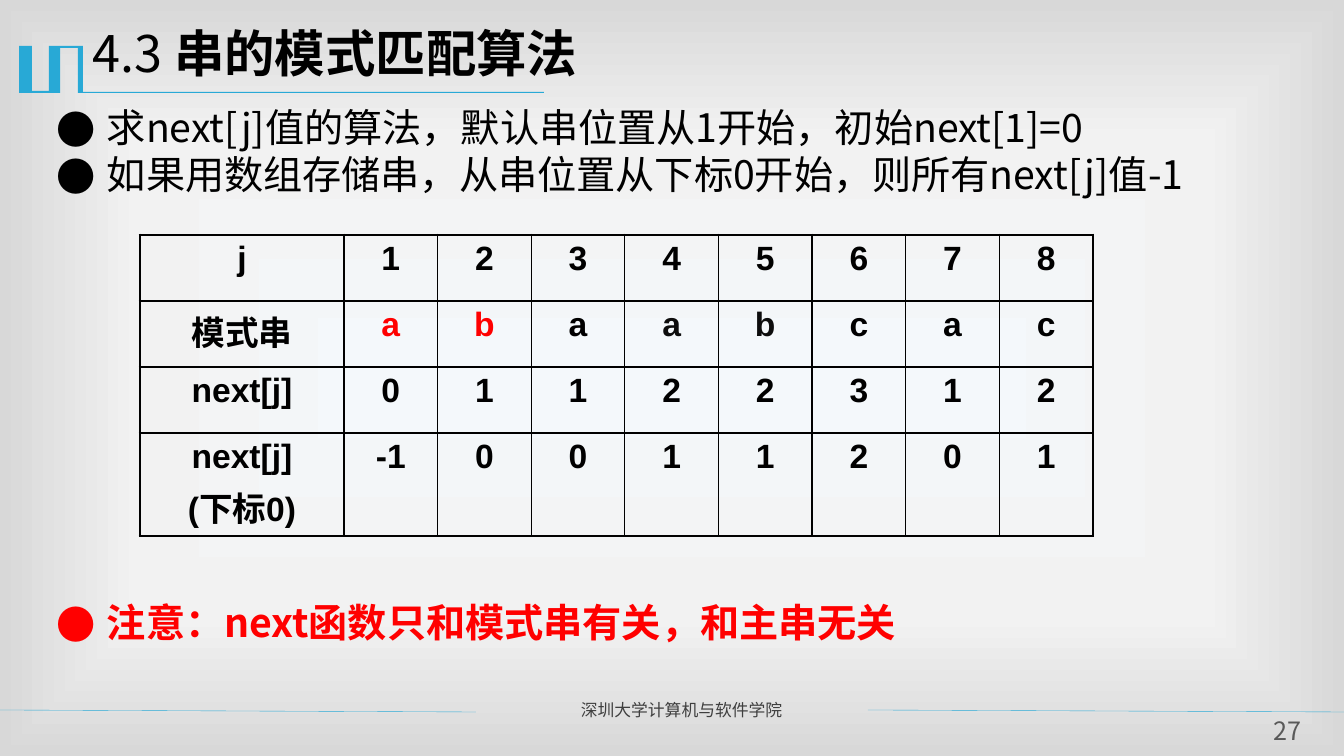
from pptx import Presentation
from pptx.dml.color import RGBColor
from pptx.enum.shapes import MSO_CONNECTOR
from pptx.enum.text import PP_ALIGN
from pptx.oxml import parse_xml
from pptx.oxml.ns import nsdecls, qn
from pptx.util import Emu, Pt
from lxml.etree import SubElement

BLACK = RGBColor(0x00, 0x00, 0x00)
NEAR_BLACK = RGBColor(0x0D, 0x0D, 0x0D)
RED = RGBColor(0xFF, 0x00, 0x00)
CYAN = RGBColor(0x28, 0xA9, 0xD6)
DARK_GREY = RGBColor(0x3F, 0x3F, 0x3F)
GREY = RGBColor(0x59, 0x59, 0x59)
BACKDROP = [(0, RGBColor(0xF4, 0xF8, 0xFB)),
            (63, RGBColor(0xF2, 0xF2, 0xF2)),
            (100, RGBColor(0xD8, 0xD8, 0xD8))]

EMU_PER_PX = 914400 / 100.8

ORNAMENT = [(83, 46), (83, 92), (544, 92), (544, 93), (78, 93), (78, 48),
            (60, 48), (60, 93), (19, 93), (19, 46), (32, 46), (32, 91),
            (49, 91), (49, 46)]

NEXT_ROWS = [
    ["j", *"12345678"],
    ["模式串", *"abaabcac"],
    ["next[j]", *"01122312"],
    ["next[j]\n(下标0)", "-1", *"0011201"],
]
CELL_INKS = {(1, 1): RED, (1, 2): RED, (1, 4): NEAR_BLACK, (1, 5): NEAR_BLACK}


def px(n):
    return Emu(round(n * EMU_PER_PX))


class SlideBuilder:
    cjk = "Noto Sans CJK SC"
    latin = "Arial"
    line_spacing = 0.9

    def __init__(self, slide):
        self.slide = slide

    def backdrop(self, stops):
        """Fill the background with a gradient spreading from the centre."""
        self.slide.background.fill.gradient()
        old = self.slide._element.find(".//" + qn("a:gradFill"))
        gs = "".join(f'<a:gs pos="{pos * 1000}"><a:srgbClr val="{color}"/></a:gs>'
                     for pos, color in stops)
        old.getparent().replace(old, parse_xml(
            f'<a:gradFill {nsdecls("a")} rotWithShape="1"><a:gsLst>{gs}</a:gsLst>'
            '<a:path path="rect"><a:fillToRect l="50000" t="50000" r="50000" '
            'b="50000"/></a:path></a:gradFill>'))

    def style(self, r, size, color, bold, font):
        r.font.size = Pt(size)
        r.font.bold = bold
        r.font.color.rgb = color
        r.font.name = font
        SubElement(r._r.get_or_add_rPr(), qn("a:ea")).set("typeface", self.cjk)

    def bullet(self, p, color):
        pPr = p._p.get_or_add_pPr()
        pPr.set("marL", str(px(50)))
        pPr.set("indent", str(-px(50)))
        clr = SubElement(pPr, qn("a:buClr"))
        SubElement(clr, qn("a:srgbClr")).set("val", str(color))
        SubElement(pPr, qn("a:buFont")).set("typeface", self.cjk)
        SubElement(pPr, qn("a:buChar")).set("char", "●")

    def text(self, x, y, w, h, paragraphs, size, color=BLACK, align=PP_ALIGN.LEFT,
             bullets=False, margin=None):
        """Each paragraph is a list of (text, bold) runs."""
        tf = self.slide.shapes.add_textbox(px(x), px(y), px(w), px(h)).text_frame
        tf.word_wrap = True
        if margin is not None:
            tf.margin_left = tf.margin_right = px(margin)
            tf.margin_top = tf.margin_bottom = px(margin)
        for i, runs in enumerate(paragraphs):
            p = tf.add_paragraph() if i else tf.paragraphs[0]
            if bullets:
                self.bullet(p, color)
            p.alignment = align
            p.line_spacing = self.line_spacing
            if i:
                p.space_before = Pt(2.8)
            for content, bold in runs:
                r = p.add_run()
                r.text = content
                self.style(r, size, color, bold, self.cjk)

    def outline(self, points, color):
        fb = self.slide.shapes.build_freeform(*points[0], scale=EMU_PER_PX)
        fb.add_line_segments(points[1:], close=True)
        sp = fb.convert_to_shape()
        sp.shadow.inherit = False
        sp.fill.solid()
        sp.fill.fore_color.rgb = color
        sp.line.fill.background()

    def line(self, x1, y1, x2, y2, color, width):
        cx = self.slide.shapes.add_connector(
            MSO_CONNECTOR.STRAIGHT, px(x1), px(y1), px(x2), px(y2))
        cx.line.color.rgb = color
        cx.line.width = Pt(width)
        SubElement(cx._element.spPr, qn("a:effectLst"))

    def border(self, cell, side, width):
        ln = SubElement(cell._tc.get_or_add_tcPr(), qn("a:" + side), w=str(Pt(width)))
        fill = SubElement(ln, qn("a:solidFill"))
        SubElement(fill, qn("a:srgbClr")).set("val", str(BLACK))

    def table(self, x, y, label_w, values_w, heights, rows, inks, size):
        """Draw a grid with a wide label column and a heavier outer frame."""
        n_rows, n_cols = len(rows), len(rows[0])
        table = self.slide.shapes.add_table(
            n_rows, n_cols, px(x), px(y), px(label_w + values_w), px(sum(heights))).table
        table.first_row = table.horz_banding = False
        for j, col in enumerate(table.columns):
            col.width = Emu(px(values_w) // (n_cols - 1)) if j else px(label_w)
        for i, values in enumerate(rows):
            table.rows[i].height = px(heights[i])
            for j, value in enumerate(values):
                cell = table.cell(i, j)
                edges = {"lnL": j == 0, "lnR": j == n_cols - 1,
                         "lnT": i == 0, "lnB": i == n_rows - 1}
                for side, outer in edges.items():
                    self.border(cell, side, 2.25 if outer else 1)
                cell.fill.background()
                cell.text_frame.text = value
                for k, p in enumerate(cell.text_frame.paragraphs):
                    p.alignment = PP_ALIGN.CENTER
                    if k:
                        p.space_before = Pt(4.8)
                    for r in p.runs:
                        self.style(r, size, inks.get((i, j), BLACK), True, self.latin)


def main():
    prs = Presentation()
    prs.slide_width, prs.slide_height = px(1344), px(756)
    s = SlideBuilder(prs.slides.add_slide(prs.slide_layouts[6]))

    s.backdrop(BACKDROP)
    s.outline(ORNAMENT, CYAN)
    for x in (-1, 868):
        s.line(x, 710, x + 477, 712, CYAN, 0.25)
    s.text(571, 697, 287, 30, [[("深圳大学计算机与软件学院", False)]], 12, DARK_GREY)
    s.text(1258, 719, 59, 31, [[("27", False)]], 18, GREY, PP_ALIGN.CENTER, margin=0)

    s.text(83, 24, 1210, 87, [[("4.3 ", False), ("串的模式匹配算法", True)]], 36)
    s.text(47, 104, 1223, 120, [
        [("求next[j]值的算法，默认串位置从1开始，初始next[1]=0", False)],
        [("如果用数组存储串，从串位置从下标0开始，则所有next[j]值-1", False)],
    ], 28, bullets=True)
    s.table(140, 235, 204, 749, [66, 66, 66, 103], NEXT_ROWS, CELL_INKS, 24)
    s.text(47, 599, 1223, 66, [[("注意：next函数只和模式串有关，和主串无关", True)]],
           28, RED, bullets=True)

    prs.save("out.pptx")


if __name__ == "__main__":
    main()
